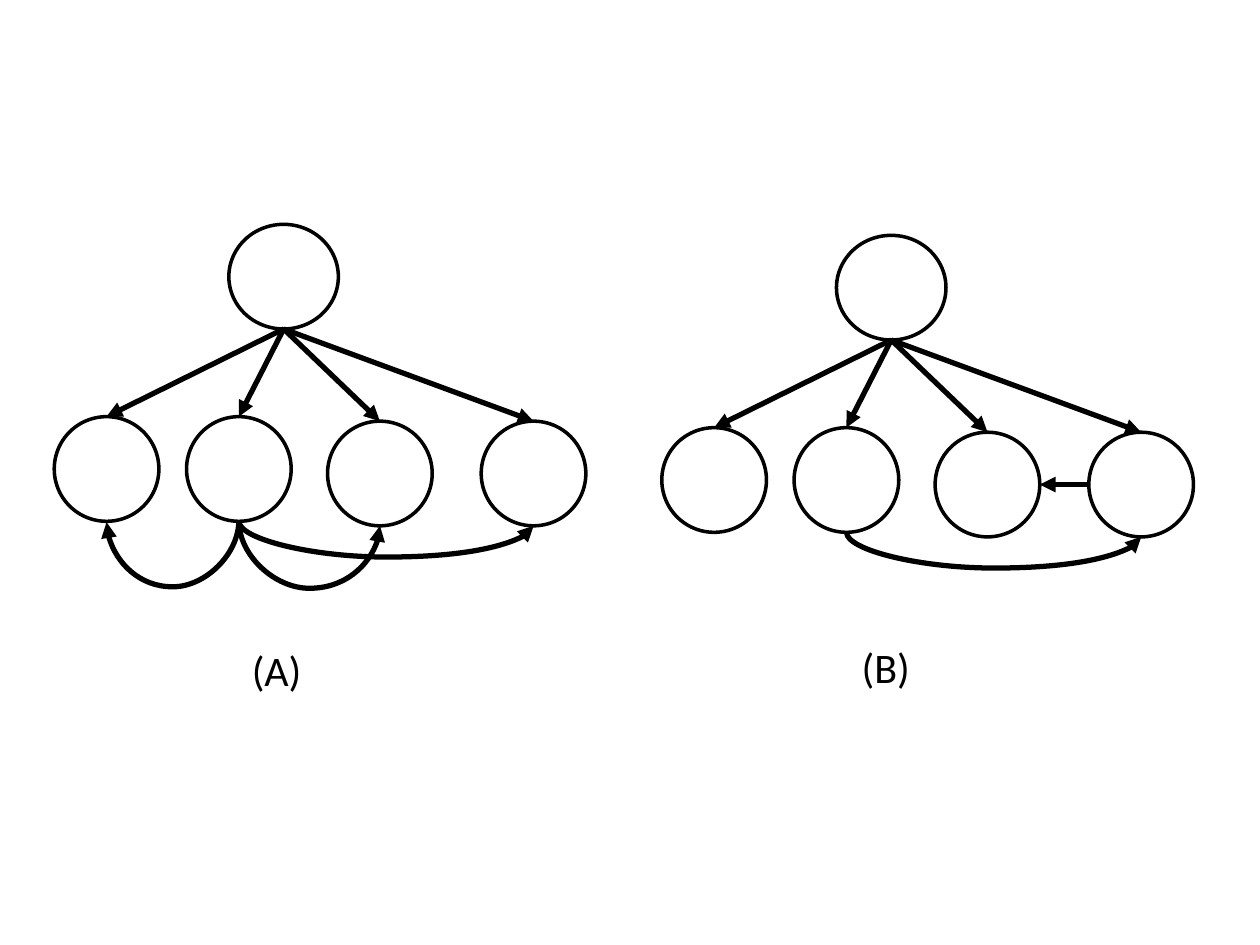
"""Build a slide with two tree diagrams whose leaves are linked by arrows."""
from lxml import etree
from pptx import Presentation
from pptx.dml.color import RGBColor
from pptx.enum.shapes import MSO_CONNECTOR, MSO_SHAPE
from pptx.oxml.ns import qn
from pptx.util import Pt

BLACK = RGBColor(0, 0, 0)
WHITE = RGBColor(255, 255, 255)
OVAL = MSO_SHAPE.OVAL
LINE = MSO_CONNECTOR.STRAIGHT
CURVE = MSO_CONNECTOR.CURVE

SIZE = 59.8
ROOT = (130.8, 128.2, 62.6)
LEAVES = [(31, 238.1), (106.6, 238.1), (187.2, 240.7), (275, 240.7)]
FONT = {"name": "Calibri", "size": Pt(24)}
TREES = [
    {"shift": (0, 0), "label": ("(A)", 136.8, 365),
     "curves": [(1, 0, 38.2), (1, 2, 38.2), (1, 3, 20.4)], "sides": []},
    {"shift": (347.2, 6.3), "label": ("(B)", 485.3, 362.9),
     "curves": [(1, 3, 20.4)], "sides": [(3, 2)]},
]


def add_node(slide, x, y, wide=SIZE):
    node = slide.shapes.add_shape(OVAL, Pt(x), Pt(y), Pt(wide), Pt(SIZE))
    node.shadow.inherit = False
    node.fill.solid()
    node.fill.fore_color.rgb = WHITE
    node.line.color.rgb = BLACK
    node.line.width = Pt(2)


def add_arrow(slide, start, end, kind=LINE):
    ends = [Pt(n) for n in (*start, *end)]
    arrow = slide.shapes.add_connector(kind, *ends)
    arrow.line.color.rgb = BLACK
    arrow.line.width = Pt(3)
    etree.SubElement(arrow.line._get_or_add_ln(), qn("a:tailEnd"), type="triangle")
    etree.SubElement(arrow._element.spPr, qn("a:effectLst"))
    return arrow


def add_curve(slide, start, end, depth):
    (x1, y1), (x2, y2) = start, end
    wide, high = max(y2 - y1, 1), abs(x2 - x1)
    left = (x1 + x2 - wide) / 2
    top = (y1 + y2 - high) / 2
    arrow = add_arrow(slide, (left, top), (left + wide, top + high), CURVE)
    props = arrow._element.spPr
    frame = props.find(qn("a:xfrm"))
    turn = 270 if x2 > x1 else 90
    frame.set("rot", str(turn * 60000))
    if turn == 270:
        frame.set("flipH", "1")
    guides = props.find(qn("a:prstGeom")).get_or_add_avLst()
    ratio = round(depth / wide * 100000)
    etree.SubElement(guides, qn("a:gd"), name="adj1", fmla=f"val {ratio}")


def add_label(slide, text, x, y):
    box = slide.shapes.add_textbox(Pt(x), Pt(y), Pt(90.7), Pt(36))
    box.text_frame.word_wrap = True
    para = box.text_frame.paragraphs[0]
    para.text = text
    for key, value in FONT.items():
        setattr(para.font, key, value)
    para.font.color.rgb = BLACK


def add_tree(slide, tree):
    dx, dy = tree["shift"]
    x, y, wide = ROOT
    leaves = [(a + dx, b + dy) for a, b in LEAVES]
    half = SIZE / 2
    tops = [(a + half, b) for a, b in leaves]
    feet = [(a, b + SIZE) for a, b in tops]
    add_node(slide, x + dx, y + dy, wide)
    for leaf in leaves:
        add_node(slide, *leaf)
    base = (x + dx + wide / 2, y + dy + SIZE)
    for top in tops:
        add_arrow(slide, base, top)
    for i, j, depth in tree["curves"]:
        add_curve(slide, feet[i], feet[j], depth)
    for i, j in tree["sides"]:
        (x1, y1), (x2, y2) = leaves[i], leaves[j]
        add_arrow(slide, (x1, y1 + half), (x2 + SIZE, y2 + half))
    add_label(slide, *tree["label"])


def main():
    deck = Presentation()
    deck.slide_width, deck.slide_height = Pt(720), Pt(540)
    slide = deck.slides.add_slide(deck.slide_layouts[6])
    for tree in TREES:
        add_tree(slide, tree)
    deck.save("out.pptx")


if __name__ == "__main__":
    main()
